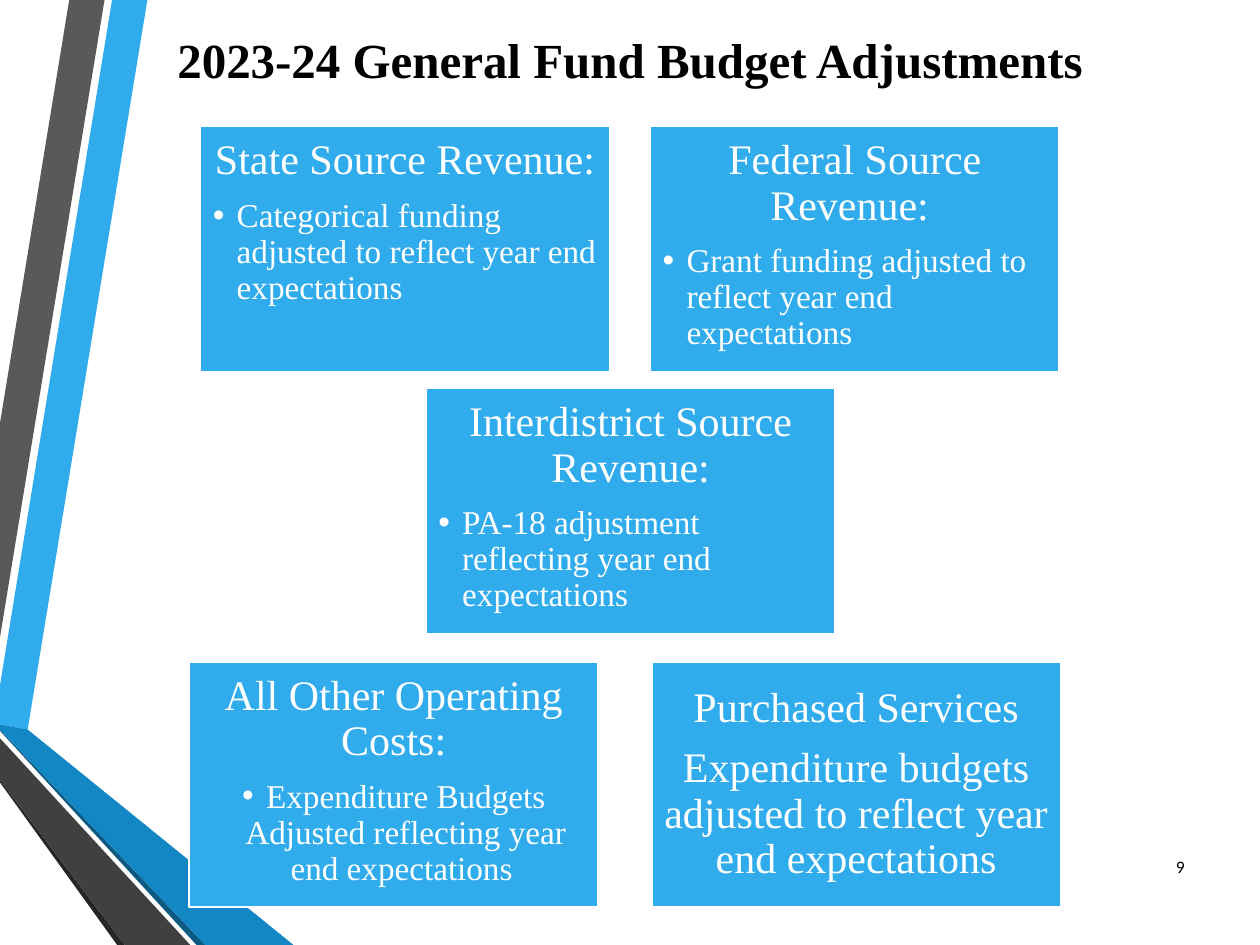
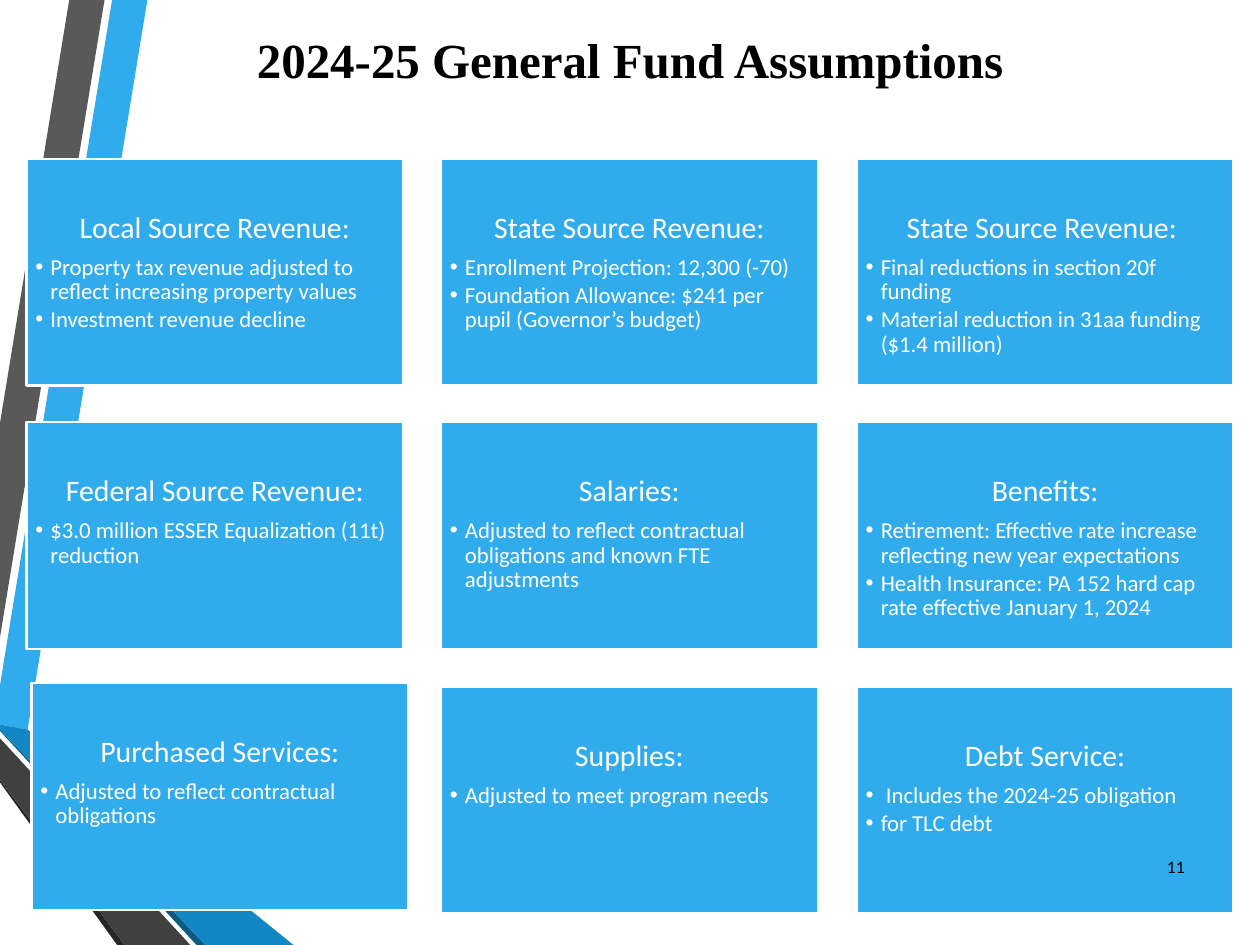
from dataclasses import dataclass

from lxml import etree
from pptx import Presentation
from pptx.dml.color import RGBColor
from pptx.enum.shapes import MSO_SHAPE
from pptx.enum.text import MSO_ANCHOR, PP_ALIGN
from pptx.oxml.ns import qn
from pptx.util import Pt

PX = 9144
SLIDE_SIZE = (1000, 750)
TITLE_ONLY = 5
RECTANGLE = MSO_SHAPE.RECTANGLE
TOP, MIDDLE = MSO_ANCHOR.TOP, MSO_ANCHOR.MIDDLE
LEFT, CENTER, RIGHT = PP_ALIGN.LEFT, PP_ALIGN.CENTER, PP_ALIGN.RIGHT


@dataclass(frozen=True)
class Theme:
    ink: str = "000000"
    paper: str = "FFFFFF"
    blue: str = "30ACEC"
    mid_blue: str = "1287C3"
    deep_blue: str = "0C5A82"
    gray: str = "595959"
    dark_gray: str = "404040"
    charcoal: str = "262626"
    serif: str = "Times New Roman"
    sans: str = "Calibri"
    title_size: int = 28
    number_size: int = 10
    border: float = 1.25
    line_spacing: float = 0.9
    heading_gap: float = 0.35
    point_gap: float = 0.15


@dataclass(frozen=True)
class CardStyle:
    size: tuple
    font: str
    heading_size: int
    point_size: int
    inset: int
    top_inset: int
    indent: int


THEME = Theme()
ADJUSTMENT_STYLE = CardStyle((325, 195), THEME.serif, 24, 19, 10, 10, 19)
ASSUMPTION_STYLE = CardStyle((299, 180), THEME.sans, 17, 13, 7, 43, 12)

TITLE_BOX = (50, 3, 900, 87)
NUMBER_BOX = (903, 668, 47, 40)

BANDS = [
    (THEME.blue, [(0, 544), (0, 575), (22, 579), (117, 0), (89, 0)]),
    (THEME.gray, [(83, 0), (55, 0), (0, 336), (0, 506)]),
    (THEME.charcoal, [(0, 619), (0, 621), (93, 750), (99, 750)]),
    (THEME.deep_blue, [(0, 579), (0, 580), (156, 750), (163, 750)]),
    (THEME.mid_blue, [(0, 579), (163, 750), (233, 750), (22, 579), (0, 575)]),
    (THEME.dark_gray, [(0, 619), (99, 750), (151, 750), (0, 586)]),
]

ADJUSTMENTS = [
    (159, 100, ["State Source Revenue:"],
     ["Categorical funding adjusted to reflect year end expectations"], {}),
    (516, 100, ["Federal Source Revenue: "],
     ["Grant funding adjusted to reflect year end expectations"], {}),
    (338, 308, ["Interdistrict Source Revenue:"],
     ["PA-18 adjustment reflecting year end expectations"], {}),
    (150, 525, ["All Other Operating Costs:"],
     ["Expenditure Budgets Adjusted reflecting year end expectations "],
     {"point_align": CENTER}),
    (517, 525, ["Purchased Services",
                "Expenditure budgets adjusted to reflect year end expectations"],
     [], {"anchor": MIDDLE}),
]

ASSUMPTIONS = [
    ("Local Source Revenue:",
     ["Property tax revenue adjusted to reflect increasing property values",
      "Investment revenue decline"]),
    ("State Source Revenue:",
     ["Enrollment Projection: 12,300 (-70)",
      "Foundation Allowance: $241 per pupil (Governor’s budget)"]),
    ("State Source Revenue: ",
     ["Final reductions in section 20f funding",
      "Material reduction in 31aa funding ($1.4 million)"]),
    ("Federal Source Revenue:",
     ["$3.0 million ESSER Equalization (11t) reduction"]),
    ("Salaries:",
     ["Adjusted to reflect contractual obligations and known FTE adjustments"]),
    ("Benefits:",
     ["Retirement: Effective rate increase reflecting new year expectations",
      "Health Insurance: PA 152 hard cap rate effective January 1, 2024"]),
    ("Purchased Services:", ["Adjusted to reflect contractual obligations"]),
    ("Supplies:", ["Adjusted to meet program needs"]),
    ("Debt Service:", [" Includes the 2024-25 obligation", "for TLC debt"]),
]
GRID_ORIGIN = (21, 126)
GRID_SPAN = (659, 419)
GRID_COLUMNS = 3
NUDGES = {"Purchased Services:": (4, -3)}


def emu(lengths):
    return [length * PX for length in lengths]


def apply(target, values):
    for attribute, value in values.items():
        setattr(target, attribute, value)


def write(paragraph, text, font, size, color, bold=False, **layout):
    apply(paragraph, layout)
    run = paragraph.add_run()
    run.text = text
    apply(run.font, {"name": font, "size": Pt(size), "bold": bold})
    run.font.color.rgb = RGBColor.from_string(color)


def add_bullet(paragraph, indent):
    properties = paragraph._p.get_or_add_pPr()
    properties.set("marL", str(indent * PX))
    properties.set("indent", str(-indent * PX))
    etree.SubElement(properties, qn("a:buFont")).set("typeface", "Arial")
    etree.SubElement(properties, qn("a:buChar")).set("char", "•")


def move_bands_to_layout(slide):
    for band_id, (color, (start, *others)) in enumerate(BANDS, 20):
        builder = slide.shapes.build_freeform(*start, scale=PX)
        builder.add_line_segments(others, close=True)
        band = builder.convert_to_shape()
        band.shadow.inherit = False
        band.fill.solid()
        band.fill.fore_color.rgb = RGBColor.from_string(color)
        band.line.fill.background()
        band.element.nvSpPr.cNvPr.set("id", str(band_id))
        slide.slide_layout.shapes.element.append(band.element)


def add_title(slide, text, box):
    title = slide.shapes.title
    apply(title, dict(zip(("left", "top", "width", "height"), emu(box))))
    title.text_frame.vertical_anchor = MIDDLE
    write(title.text_frame.paragraphs[0], text, THEME.serif, THEME.title_size,
          THEME.ink, bold=True, alignment=CENTER)


def add_page_number(slide, number, box):
    frame = slide.shapes.add_textbox(*emu(box)).text_frame
    apply(frame, {"word_wrap": True, "vertical_anchor": MIDDLE})
    write(frame.paragraphs[0], str(number), THEME.sans, THEME.number_size,
          THEME.ink, alignment=RIGHT)


def add_card(slide, left, top, headings, points, style,
             point_align=LEFT, anchor=TOP):
    card = slide.shapes.add_shape(RECTANGLE, *emu((left, top, *style.size)))
    card.shadow.inherit = False
    card.fill.solid()
    card.fill.fore_color.rgb = RGBColor.from_string(THEME.blue)
    card.line.color.rgb = RGBColor.from_string(THEME.paper)
    card.line.width = Pt(THEME.border)

    frame = card.text_frame
    inset = style.inset * PX
    apply(frame, {"word_wrap": True, "vertical_anchor": anchor,
                  "margin_left": inset, "margin_right": inset,
                  "margin_top": style.top_inset * PX, "margin_bottom": inset})
    rows = [(text, False) for text in headings] + [(text, True) for text in points]
    for index, (text, is_point) in enumerate(rows):
        paragraph = frame.add_paragraph() if index else frame.paragraphs[0]
        if is_point:
            add_bullet(paragraph, style.indent)
            size, gap, align = style.point_size, THEME.point_gap, point_align
        else:
            size, gap, align = style.heading_size, THEME.heading_gap, CENTER
        write(paragraph, text, style.font, size, THEME.paper, level=int(is_point),
              alignment=align, line_spacing=THEME.line_spacing,
              space_after=Pt(size * gap))


def add_adjustments(slide):
    for left, top, headings, points, options in ADJUSTMENTS:
        add_card(slide, left, top, headings, points, ADJUSTMENT_STYLE, **options)


def add_assumptions(slide):
    for index, (heading, points) in enumerate(ASSUMPTIONS):
        row, column = divmod(index, GRID_COLUMNS)
        shift_x, shift_y = NUDGES.get(heading, (0, 0))
        left = GRID_ORIGIN[0] + column * GRID_SPAN[0] // 2 + shift_x
        top = GRID_ORIGIN[1] + row * GRID_SPAN[1] // 2 + shift_y
        add_card(slide, left, top, [heading], points, ASSUMPTION_STYLE)


def add_budget_slide(deck, title, number, add_content):
    slide = deck.slides.add_slide(deck.slide_layouts[TITLE_ONLY])
    add_title(slide, title, TITLE_BOX)
    add_content(slide)
    add_page_number(slide, number, NUMBER_BOX)
    return slide


def main():
    deck = Presentation()
    deck.slide_width, deck.slide_height = emu(SLIDE_SIZE)
    adjustments = add_budget_slide(
        deck, "2023-24 General Fund Budget Adjustments", 9, add_adjustments)
    move_bands_to_layout(adjustments)
    add_budget_slide(deck, "2024-25 General Fund Assumptions", 11, add_assumptions)
    deck.save("out.pptx")


if __name__ == "__main__":
    main()
